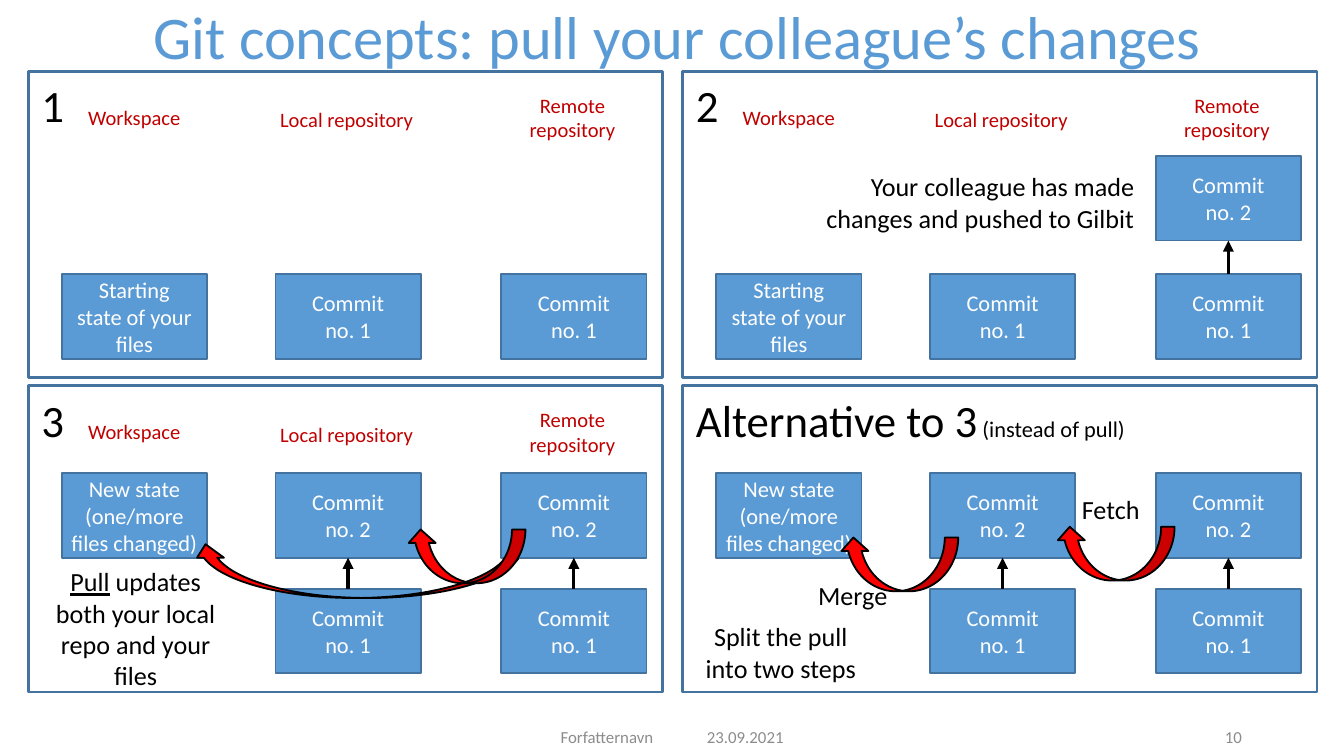
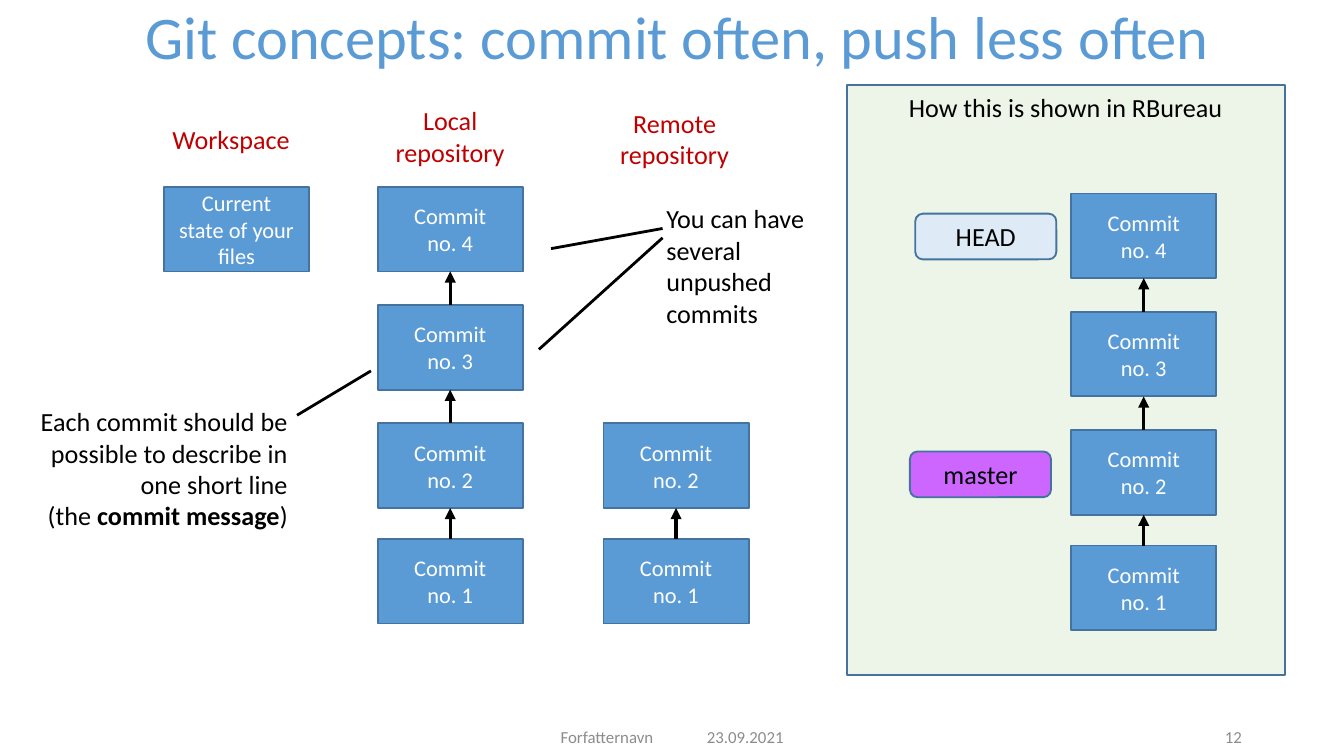
import dataclasses

import pptx
import pptx.dml.color
import pptx.enum.shapes
import pptx.enum.text
import pptx.oxml.ns
import pptx.util
from lxml import etree

ALIGN = pptx.enum.text.PP_ALIGN
ANCHOR = pptx.enum.text.MSO_ANCHOR
FIT = pptx.enum.text.MSO_AUTO_SIZE
SHAPE = pptx.enum.shapes.MSO_SHAPE
STRAIGHT = pptx.enum.shapes.MSO_CONNECTOR.STRAIGHT
TOP, BOTTOM = 0, 2


@dataclasses.dataclass(frozen=True)
class Theme:
    """Colours, font and type sizes of the deck."""
    font: str = "Calibri"
    blue: str = "5B9BD5"
    outline: str = "43739E"
    label: str = "C00000"
    ink: str = "000000"
    white: str = "FFFFFF"
    grey: str = "8C8C8C"
    red: str = "FF0000"
    mint: str = "ECF5E7"
    pale: str = "DEEBF7"
    violet: str = "CC66FF"
    title_size: float = 32.4
    number_size: int = 24
    note_size: int = 14
    box_size: int = 12
    label_size: int = 11
    footer_size: int = 9


THEME = Theme()
BOX_WIDTH, BOX_HEIGHT = 108, 63
LABEL_WIDTH = 124
SLIM = (7, 4, 7, 4)


def px(length):
    """Turn px, a hundred to the inch, into EMU."""
    return pptx.util.Emu(length * 9144)


def rgb(colour):
    """Turn a hex string into a colour."""
    return pptx.dml.color.RGBColor.from_string(colour)


def inside(region, left, top, width, height):
    """Move a box from region coordinates to page coordinates."""
    return region[0] + left, region[1] + top, width, height


def write_text(shape, text, *, size, colour=THEME.ink, align=ALIGN.LEFT, anchor=ANCHOR.TOP,
               margins=(10, 5, 10, 5), fit=FIT.NONE, spacing=None):
    """Write a string, or (string, format) spans, into a shape."""
    frame = shape.text_frame
    frame.word_wrap = True
    frame.auto_size = fit
    frame.vertical_anchor = anchor
    frame.margin_left, frame.margin_top, frame.margin_right, frame.margin_bottom = map(px, margins)
    para = frame.paragraphs[0]
    para.alignment = align
    if spacing:
        para.line_spacing = spacing
    for words, extra in [(text, {})] if isinstance(text, str) else text:
        for index, line in enumerate(words.split("\n")):
            if index:
                para.add_line_break()
            span = para.add_run()
            span.text = line
            span.font.name = THEME.font
            span.font.size = pptx.util.Pt(extra.get("size", size))
            span.font.color.rgb = rgb(colour)
            span.font.bold = extra.get("bold")
            span.font.underline = extra.get("underline")


def add_note(page, box, text, **style):
    """Add a text box that grows with its text."""
    note = page.shapes.add_textbox(*map(px, box))
    write_text(note, text, **{"size": THEME.note_size, "fit": FIT.SHAPE_TO_FIT_TEXT, **style})


def add_block(page, kind, box, *, fill=None, line=THEME.outline, weight=1):
    """Add a preset shape with flat fill and outline."""
    block = page.shapes.add_shape(kind, *map(px, box))
    block.shadow.inherit = False
    if fill:
        block.fill.solid()
        block.fill.fore_color.rgb = rgb(fill)
    else:
        block.fill.background()
    block.line.color.rgb = rgb(line)
    block.line.width = pptx.util.Pt(weight)
    return block


def add_state(page, left, top, text, margins=(10, 5, 10, 5)):
    """Add one blue box for a commit or a state of the files."""
    state = add_block(page, SHAPE.FLOWCHART_PROCESS, (left, top, BOX_WIDTH, BOX_HEIGHT), fill=THEME.blue)
    write_text(state, text, size=THEME.box_size, colour=THEME.white, align=ALIGN.CENTER,
               anchor=ANCHOR.MIDDLE, margins=margins)
    return state


def add_line(page, start, end, weight=1.5):
    """Add a plain black line."""
    line = page.shapes.add_connector(STRAIGHT, *map(px, start + end))
    line.line.color.rgb = rgb(THEME.ink)
    line.line.width = pptx.util.Pt(weight)
    etree.SubElement(line._element.spPr, pptx.oxml.ns.qn("a:effectLst"))
    return line


def add_commits(page, region, left, tops):
    """Stack numbered commits from the bottom up and join them by arrows."""
    previous = None
    for number, top in enumerate(tops, 1):
        commit = add_state(page, region[0] + left, region[1] + top, f"Commit\nno. {number}")
        if previous:
            arrow = add_line(page, (0, 0), (0, 0), weight=1.75)
            arrow.begin_connect(previous, TOP)
            arrow.end_connect(commit, BOTTOM)
            outline = arrow.line._get_or_add_ln()
            etree.SubElement(outline, pptx.oxml.ns.qn("a:tailEnd"), type="triangle")
        previous = commit


def add_swoop(page, region, left, top, width=88):
    """Add a red curved arrow that points left."""
    swoop = add_block(page, SHAPE.CURVED_UP_ARROW, inside(region, left, top, width, 40),
                      fill=THEME.red, line=THEME.ink)
    swoop._element.spPr.xfrm.set("flipH", "1")


def add_labels(page, region, spots, size):
    """Name the three places where files live."""
    names = ("Workspace", "Local repository", "Remote repository")
    for name, (left, top, height) in zip(names, spots):
        add_note(page, inside(region, left, top, LABEL_WIDTH, height), name,
                 size=size, colour=THEME.label, align=ALIGN.CENTER)


def add_page(deck, title, number):
    """Add a page with its title and footer."""
    page = deck.slides.add_slide(deck.slide_layouts[5])
    heading = page.shapes.title
    heading.left, heading.top, heading.width, heading.height = map(px, (8, 7, 992, 46))
    write_text(heading, title, size=THEME.title_size, colour=THEME.blue, align=ALIGN.CENTER,
               anchor=ANCHOR.MIDDLE, margins=SLIM, spacing=0.9)
    footers = (
        (519, 225, "23.09.2021", ALIGN.LEFT),
        (269, 224, "Forfatternavn", ALIGN.RIGHT),
        (859, 72, str(number), ALIGN.RIGHT),
    )
    for left, width, text, align in footers:
        add_note(page, (left, 533, width, 30), text, size=THEME.footer_size, colour=THEME.grey,
                 align=align, anchor=ANCHOR.MIDDLE, margins=SLIM, fit=FIT.NONE)
    return page


COLUMNS = (25, 184, 352)
UPPER, LOWER = 65, 151


def add_panel(page, region, heading, labelled=True):
    """Draw a panel frame with its heading and column labels."""
    frame = add_block(page, SHAPE.RECTANGLE, region, weight=1.5)
    write_text(frame, heading, size=THEME.number_size)
    if labelled:
        add_labels(page, region, ((17, 20, 29), (175, 22, 29), (343, 11, 47)), THEME.label_size)


def add_start_state(page, region):
    """Show the files before anything is pulled."""
    add_state(page, region[0] + COLUMNS[0], region[1] + LOWER, "Starting state of your\nfiles")
    add_commits(page, region, COLUMNS[1], (LOWER,))


def add_new_state(page, region):
    """Show the files and the local commits after a pull."""
    add_state(page, region[0] + COLUMNS[0], region[1] + UPPER,
              "New state (one/more files changed)", margins=(4, 5, 4, 5))
    add_commits(page, region, COLUMNS[1], (LOWER, UPPER))


def fill_before(page, region):
    """Panel 1: everyone is at the first commit."""
    add_panel(page, region, "1")
    add_start_state(page, region)
    add_commits(page, region, COLUMNS[2], (LOWER,))


def fill_pushed(page, region):
    """Panel 2: a colleague has pushed a second commit."""
    add_panel(page, region, "2")
    add_start_state(page, region)
    add_commits(page, region, COLUMNS[2], (LOWER, 63))
    add_note(page, inside(region, 78, 69, 268, 57),
             "Your colleague has made changes and pushed to Gilbit", align=ALIGN.RIGHT)


def fill_pulled(page, region):
    """Panel 3: one pull updates repository and files."""
    add_panel(page, region, "3")
    add_new_state(page, region)
    add_swoop(page, region, 122, 118, 247)
    add_note(page, inside(region, 5, 129, 150, 104),
             [("Pull", {"underline": True}), (" updates both your local repo and your files", {})],
             align=ALIGN.CENTER)
    add_commits(page, region, COLUMNS[2], (LOWER, UPPER))
    add_swoop(page, region, 282, 107)


def fill_alternative(page, region):
    """Last panel: fetch and merge as two steps."""
    add_panel(page, region, [("Alternative to 3", {}), (" (instead of pull)", {"size": THEME.box_size})],
              labelled=False)
    add_new_state(page, region)
    add_commits(page, region, COLUMNS[2], (LOWER, UPPER))
    add_note(page, inside(region, 268, 75, 101, 34), "Fetch", align=ALIGN.CENTER)
    add_swoop(page, region, 278, 105)
    add_note(page, inside(region, 76, 139, 101, 34), "Merge", align=ALIGN.CENTER)
    add_swoop(page, region, 117, 113)
    add_note(page, inside(region, -2, 170, 150, 57), "Split the pull into two steps", align=ALIGN.CENTER)


def build_pull_page(deck):
    """Build the page of four panels about pulling."""
    page = add_page(deck, "Git concepts: pull your colleague’s changes", 10)
    panels = (fill_before, fill_pushed, fill_pulled, fill_alternative)
    for index, fill_panel in enumerate(panels):
        row, column = divmod(index, 2)
        fill_panel(page, (21 + 487 * column, 53 + 234 * row, 472, 228))


COMMIT_TOPS = (262, 176, 88, 0)


def add_history(page, region):
    """Show workspace, local and remote commits with remarks."""
    add_labels(page, region, ((102, 14, 34), (265, 0, 57), (432, 2, 57)), THEME.note_size)
    add_state(page, region[0] + 114, region[1] + 66, "Current state of your\nfiles")
    commits = inside(region, 0, 66, 0, 0)
    add_commits(page, commits, 273, COMMIT_TOPS)
    add_commits(page, commits, 441, COMMIT_TOPS[:2])
    add_note(page, inside(region, 0, 224, 216, 104),
             [("Each commit should be possible to describe in one short line\n(the ", {}),
              ("commit message", {"bold": True}), (")", {})], align=ALIGN.RIGHT)
    add_note(page, inside(region, 478, 73, 143, 104), "You can have several unpushed commits")
    for x1, y1, x2, y2 in ((213, 236, 268, 203), (402, 112, 485, 97), (393, 187, 485, 104)):
        add_line(page, (region[0] + x1, region[1] + y1), (region[0] + x2, region[1] + y2))


def add_client_view(page, region):
    """Show the same commits with their branch tags."""
    frame = add_block(page, SHAPE.RECTANGLE, region, fill=THEME.mint)
    write_text(frame, "How this is shown in RBureau", size=THEME.note_size, align=ALIGN.CENTER)
    add_commits(page, inside(region, 0, 81, 0, 0), 167, COMMIT_TOPS)
    for left, top, name, colour in ((51, 96, "HEAD", THEME.pale), (47, 273, "master", THEME.violet)):
        tag = add_block(page, SHAPE.ROUNDED_RECTANGLE, inside(region, left, top, 105, 34), fill=colour)
        write_text(tag, name, size=THEME.note_size, align=ALIGN.CENTER, anchor=ANCHOR.MIDDLE)


def build_push_page(deck):
    """Build the page about committing often."""
    page = add_page(deck, "Git concepts: commit often, push less often", 12)
    add_client_view(page, (630, 63, 326, 439))
    add_history(page, (8, 73, 621, 391))


def main():
    """Build and save the deck."""
    deck = pptx.Presentation()
    deck.slide_width = px(1000)
    deck.slide_height = pptx.util.Emu(deck.slide_width * 9 // 16)
    build_pull_page(deck)
    build_push_page(deck)
    deck.save("out.pptx")


if __name__ == "__main__":
    main()
